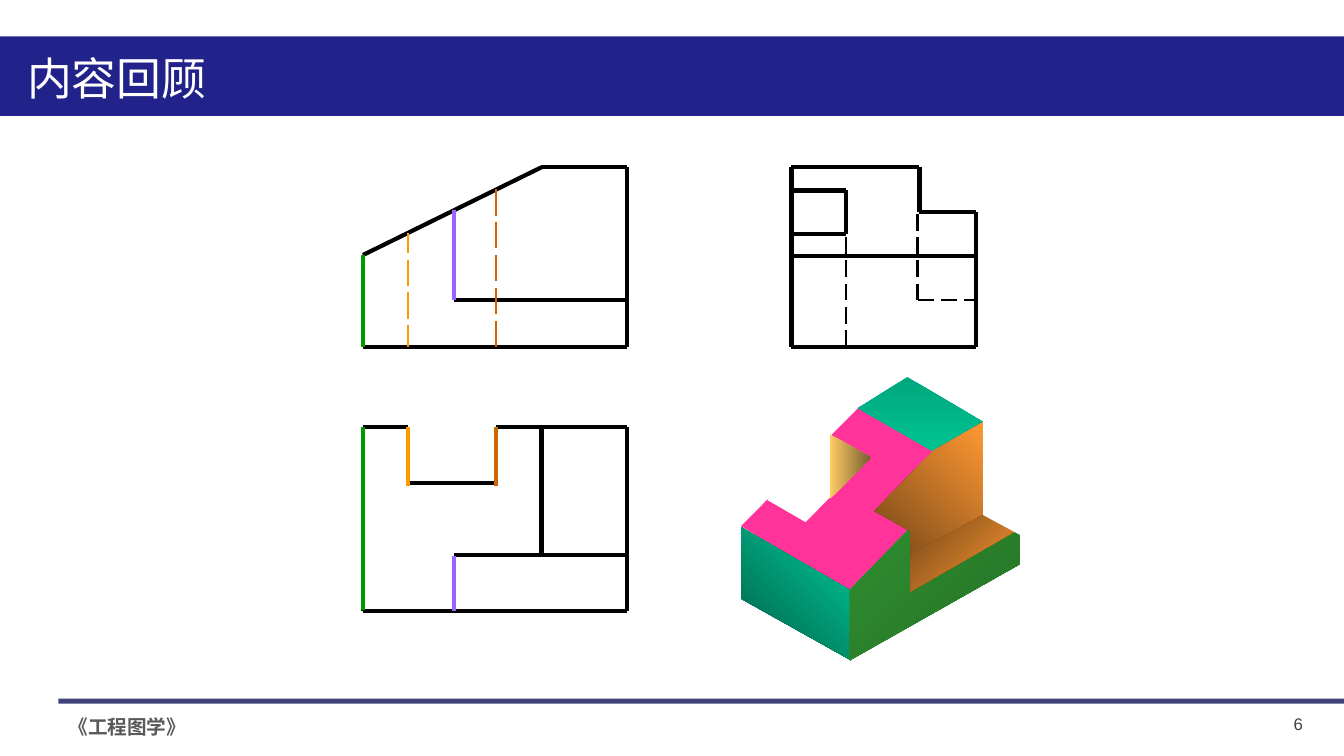
from pptx import Presentation
from pptx.dml.color import RGBColor
from pptx.enum.dml import MSO_LINE
from pptx.enum.shapes import MSO_CONNECTOR, MSO_SHAPE
from pptx.enum.text import MSO_ANCHOR, MSO_AUTO_SIZE, PP_ALIGN
from pptx.oxml.ns import qn
from pptx.util import Cm, Pt
from lxml.etree import SubElement

# Content: coordinates are in drawing units of 2.54 cm
UNIT = 2.54
BLACK, GREEN, ORANGE, BROWN, PURPLE = "000000", "009900", "FF9900", "CC6600", "9966FF"
THICK, THIN = 3, 1.5

# Text: wording, left, top, width, height, size, font, colour, bold, alignment
TEXTS = [
    ("《工程图学》", 0.58, 7.04, 1.38, 0.34, 14, "Arial", "595959", True, PP_ALIGN.LEFT),
    ("内容回顾", 0.17, 0.45, 2, 0.64, 32, "Noto Sans CJK SC", "FFFFFF", False, PP_ALIGN.LEFT),
    ("6", 12.73, 7.03, 0.29, 0.3, 12, "Arial", "404040", False, PP_ALIGN.RIGHT),
]

# Bars: left, top, width, height, colour, opacity in percent
BARS = [(0, 0.36, 13.33, 0.79, "22228B", 100), (0.58, 6.93, 12.76, 0.05, "17175C", 81)]

# Faces of the solid: corners, colours (one is plain, two a gradient), clockwise angle
FACES = [
    ([(8.53, 4.03), (9.63, 4.66), (8.43, 5.87), (7.35, 5.22)], ["FF3399"], 0),
    ([(8.51, 4.05), (9, 3.74), (10.11, 4.4), (9.61, 4.68)], ["00A77D", "00CC99"], 90),
    ([(7.35, 5.23), (7.35, 5.94), (8.44, 6.55), (8.44, 5.86)], ["005E47", "00CC99"], 315),
    ([(9.59, 4.66), (10.11, 4.4), (10.11, 5.6), (8.43, 6.55), (8.43, 5.85)],
     ["339933", "256F25"], 45),
    ([(8.15, 4.26), (8.59, 4.57), (7.99, 5.18), (7.61, 4.96)], ["FFFFFF"], 0),
    ([(8.23, 4.31), (8.23, 4.95), (8.64, 4.54)], ["FFCC66", "765E2F"], 0),
    ([(9.75, 4.19), (9.75, 5.11), (9.03, 5.5), (9.03, 5.27), (8.67, 5.07), (9.26, 4.47)],
     ["764718", "FF9933"], 315),
    ([(9.03, 5.5), (9.03, 5.87), (10.07, 5.27), (9.77, 5.1)], ["764718", "FF9933"], 45),
    ([(9.75, 4.17), (9.75, 5.11), (10.16, 5.33), (10.16, 4.28), (9.96, 4.16)], ["FFFFFF"], 0),
]

# Edges of each view: colour and a chain of points
FRONT_VIEW = [
    (BLACK, [(3.6, 2.53), (5.37, 1.66), (6.22, 1.66), (6.22, 3.44), (3.6, 3.44)]),
    (BLACK, [(4.5, 2.98), (6.22, 2.98)]),
    (GREEN, [(3.6, 2.53), (3.6, 3.44)]),
    (PURPLE, [(4.5, 2.08), (4.5, 2.98)]),
]
TOP_VIEW = [
    (BLACK, [(3.6, 4.24), (4.05, 4.24)]),
    (BLACK, [(4.05, 4.79), (4.92, 4.79)]),
    (BLACK, [(4.92, 4.24), (6.22, 4.24), (6.22, 6.06), (3.6, 6.06), (3.6, 4.24)]),
    (BLACK, [(5.37, 4.24), (5.37, 5.51)]),
    (BLACK, [(4.5, 5.51), (6.22, 5.51)]),
    (GREEN, [(3.6, 4.24), (3.6, 6.05)]),
    (ORANGE, [(4.05, 4.24), (4.05, 4.82)]),
    (BROWN, [(4.92, 4.24), (4.92, 4.82)]),
    (PURPLE, [(4.5, 5.52), (4.5, 6.06)]),
]
SIDE_VIEW = [
    (BLACK, [(7.85, 1.66), (9.12, 1.66), (9.12, 2.1), (9.68, 2.1),
             (9.68, 3.44), (7.85, 3.44), (7.85, 1.66)]),
    (BLACK, [(7.85, 1.89), (8.39, 1.89), (8.39, 2.32), (7.85, 2.32)]),
    (BLACK, [(7.85, 2.54), (9.68, 2.54)]),
]
SIDE_HIDDEN = [
    [(8.39, 3.44), (8.39, 2.31)],
    [(9.1, 2.98), (9.1, 2.09)],
    [(9.1, 2.98), (9.66, 2.98)],
]

# Hidden edges of the front view: colour, x, first dash, top, bottom
FRONT_HIDDEN = [(ORANGE, 4.05, 2.25, 2.31, 3.44), (BROWN, 4.92, 1.88, 1.88, 3.44)]
DASH, DASH_PITCH = 0.26, 0.325


def length(units):
    return Cm(units * UNIT)


def color(hex_text):
    return RGBColor.from_string(hex_text)


def add_bar(left, top, width, height, fill, opacity):
    bar = page.shapes.add_shape(MSO_SHAPE.RECTANGLE, *map(length, (left, top, width, height)))
    bar.shadow.inherit = False
    bar.fill.solid()
    bar.fill.fore_color.rgb = color(fill)
    bar.line.fill.background()
    if opacity < 100:
        tint = bar._element.spPr.find(qn("a:solidFill"))[0]
        SubElement(tint, qn("a:alpha")).set("val", str(opacity * 1000))


def add_text(wording, left, top, width, height, size, font, ink, bold, alignment):
    box = page.shapes.add_textbox(*map(length, (left, top, width, height)))
    frame = box.text_frame
    frame.text = wording
    frame.word_wrap = False
    frame.auto_size = MSO_AUTO_SIZE.SHAPE_TO_FIT_TEXT
    frame.vertical_anchor = MSO_ANCHOR.MIDDLE if alignment == PP_ALIGN.RIGHT else MSO_ANCHOR.TOP
    para = frame.paragraphs[0]
    para.alignment = alignment
    span = para.runs[0]
    span.font.size, span.font.name, span.font.bold = Pt(size), font, bold
    span.font.color.rgb = color(ink)
    SubElement(span._r.rPr, qn("a:ea")).set("typeface", "Noto Sans CJK SC")


def add_face(corners, fills, angle):
    points = [(length(x), length(y)) for x, y in corners]
    builder = page.shapes.build_freeform(*points[0])
    builder.add_line_segments(points[1:], close=True)
    face = builder.convert_to_shape()
    face.shadow.inherit = False
    face.line.fill.background()
    if len(fills) == 1:
        face.fill.solid()
        face.fill.fore_color.rgb = color(fills[0])
        return
    face.fill.gradient()
    face.fill.gradient_angle = (360 - angle) % 360
    for stop, fill in zip(face.fill.gradient_stops, fills):
        stop.color.rgb = color(fill)


def add_edges(points, ink, weight, dash=None):
    for start, end in zip(points, points[1:]):
        edge = page.shapes.add_connector(MSO_CONNECTOR.STRAIGHT, *map(length, start + end))
        edge.line.color.rgb = color(ink)
        edge.line.width = Pt(weight)
        if dash:
            edge.line.dash_style = dash
        SubElement(edge._element.spPr, qn("a:effectLst"))


deck = Presentation()
deck.slide_width, deck.slide_height = length(13.33), length(7.5)
page = deck.slides.add_slide(deck.slide_layouts[6])

# Frame and text
for bar_data in BARS:
    add_bar(*bar_data)
for text_data in TEXTS:
    add_text(*text_data)

# Solid
for face_data in FACES:
    add_face(*face_data)

# Three views
for hidden_edge in SIDE_HIDDEN:
    add_edges(hidden_edge, BLACK, THIN, MSO_LINE.LONG_DASH)
for ink, chain in FRONT_VIEW + TOP_VIEW + SIDE_VIEW:
    add_edges(chain, ink, THICK)
for ink, x, dash_top, top, bottom in FRONT_HIDDEN:
    while dash_top < bottom:
        add_edges([(x, max(dash_top, top)), (x, min(dash_top + DASH, bottom))], ink, THIN)
        dash_top += DASH_PITCH

deck.save("out.pptx")
